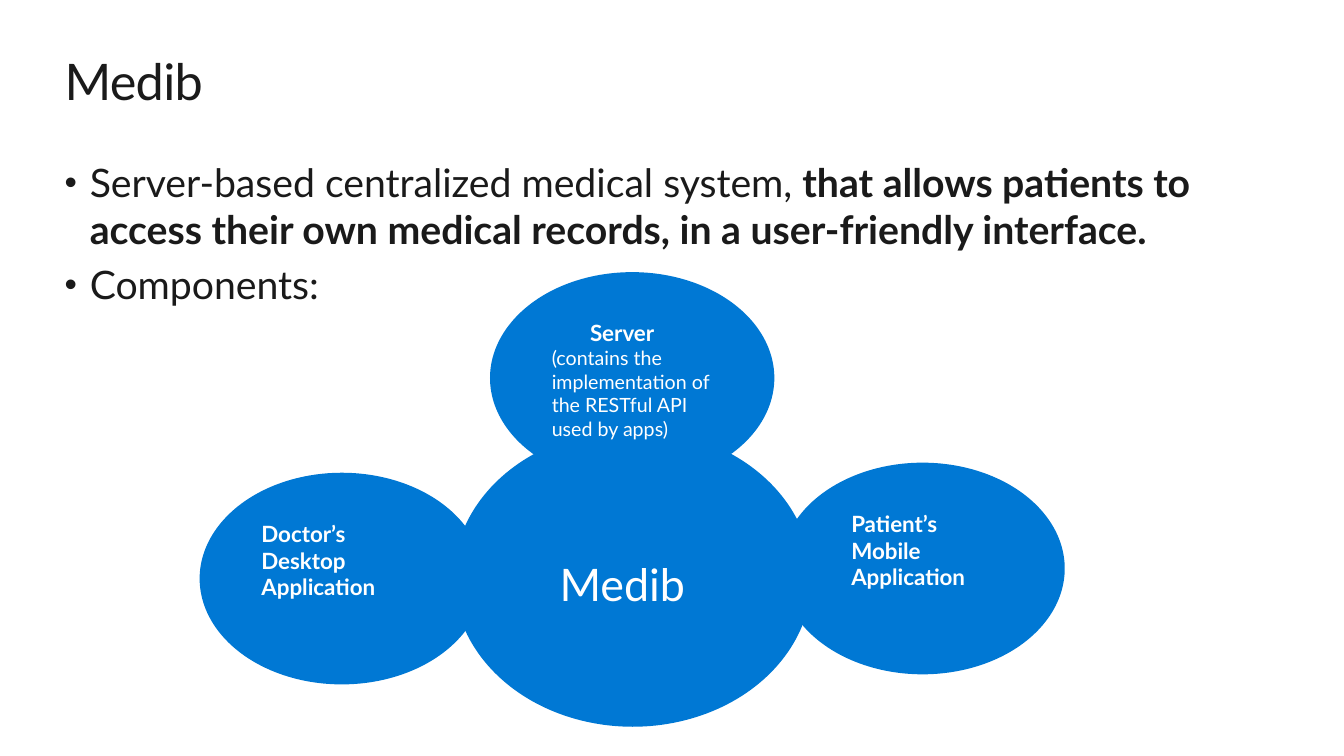
from lxml import etree
from pptx import Presentation
from pptx import util as u
from pptx.dml.color import RGBColor
from pptx.enum import shapes, text
from pptx.oxml.ns import qn

COLORS = {"ink": "1A1A1A", "blue": "0078D4", "white": "FFFFFF"}
FONT = "Lato"


def style_run(span, size, color, bold=False):
    span.font.name = FONT
    span.font.size = u.Pt(size)
    span.font.bold = bold
    span.font.color.rgb = RGBColor.from_string(COLORS[color])


def prepare_frame(frame, left, top, right, bottom):
    """Wrap text from the top of the frame, with margins in inches."""
    frame.word_wrap = True
    frame.auto_size = text.MSO_AUTO_SIZE.NONE
    frame.vertical_anchor = text.MSO_ANCHOR.TOP
    frame.margin_left, frame.margin_top = u.Inches(left), u.Inches(top)
    frame.margin_right, frame.margin_bottom = u.Inches(right), u.Inches(bottom)


deck = Presentation()
deck.slide_width, deck.slide_height = u.Inches(13.33), u.Inches(7.5)
slide = deck.slides.add_slide(deck.slide_layouts[1])
title, body = slide.placeholders

for box, top, height in ((title, 0.5, 0.61), (body, 1.57, 1.51)):
    box.left, box.top = u.Inches(0.64), u.Inches(top)
    box.width, box.height = u.Inches(12.05), u.Inches(height)
    prepare_frame(box.text_frame, 0, 0, 0, 0)

# Title
title.text_frame.text = "Medib"
para = title.text_frame.paragraphs[0]
para.alignment = text.PP_ALIGN.LEFT
style_run(para.runs[0], 36, "ink")
para.runs[0].font._element.set("spc", "-50")

# Bullets: each is a list of (wording, bold)
bullets = [
    [("Server-based centralized medical system, ", False),
     ("that allows patients to access their own medical records, "
      "in a user-friendly interface.", True)],
    [("Components:", False)],
]
for index, spans in enumerate(bullets):
    para = body.text_frame.paragraphs[0] if index == 0 else body.text_frame.add_paragraph()
    para.alignment = text.PP_ALIGN.LEFT
    para.line_spacing = 1.0
    para.space_before = u.Pt(5.6)
    for wording, bold in spans:
        span = para.add_run()
        span.text = wording
        style_run(span, 28, "ink", bold)
    props = para._p.get_or_add_pPr()
    props.set("marL", str(u.Inches(0.25)))
    props.set("indent", str(u.Inches(-0.25)))
    etree.SubElement(props, qn("a:buSzPct")).set("val", "90000")
    etree.SubElement(props, qn("a:buFont")).set("typeface", "Arial")
    etree.SubElement(props, qn("a:buChar")).set("char", "•")

# Components: position, size, left and top margin, lines of (wording, size, bold, indent)
hub_size, part_size = (3.55, 2.95), (2.82, 2.1)
components = [
    (4.5, 4.26, hub_size, 0.2, 0.83, [("Medib", 32, False, 0.33)]),
    (4.86, 2.7, part_size, 0.2, 0.16, [
        ("Server", 16, True, 0.38),
        ("(contains the implementation of the RESTful API used by apps)", 14, False, 0)]),
    (7.74, 4.59, part_size, 0.29, 0.16,
     [(word, 16, True, 0) for word in ("Patient’s", "Mobile", "Application")]),
    (1.98, 4.69, part_size, 0.2, 0.16,
     [(word, 16, True, 0) for word in ("Doctor’s", "Desktop", "Application")]),
]
for left, top, (width, height), margin_left, margin_top, lines in components:
    ellipse = slide.shapes.add_shape(
        shapes.MSO_SHAPE.OVAL, u.Inches(left), u.Inches(top), u.Inches(width), u.Inches(height))
    ellipse.shadow.inherit = False
    ellipse.fill.solid()
    ellipse.fill.fore_color.rgb = RGBColor.from_string(COLORS["blue"])
    ellipse.line.fill.background()
    frame = ellipse.text_frame
    prepare_frame(frame, margin_left, margin_top, 0.2, 0.16)
    frame.text = "\n".join(line[0] for line in lines)
    for para, (_, size, bold, indent) in zip(frame.paragraphs, lines):
        para.alignment = text.PP_ALIGN.LEFT
        para._p.get_or_add_pPr().set("marL", str(u.Inches(indent)))
        style_run(para.runs[0], size, "white", bold)

deck.save("out.pptx")
